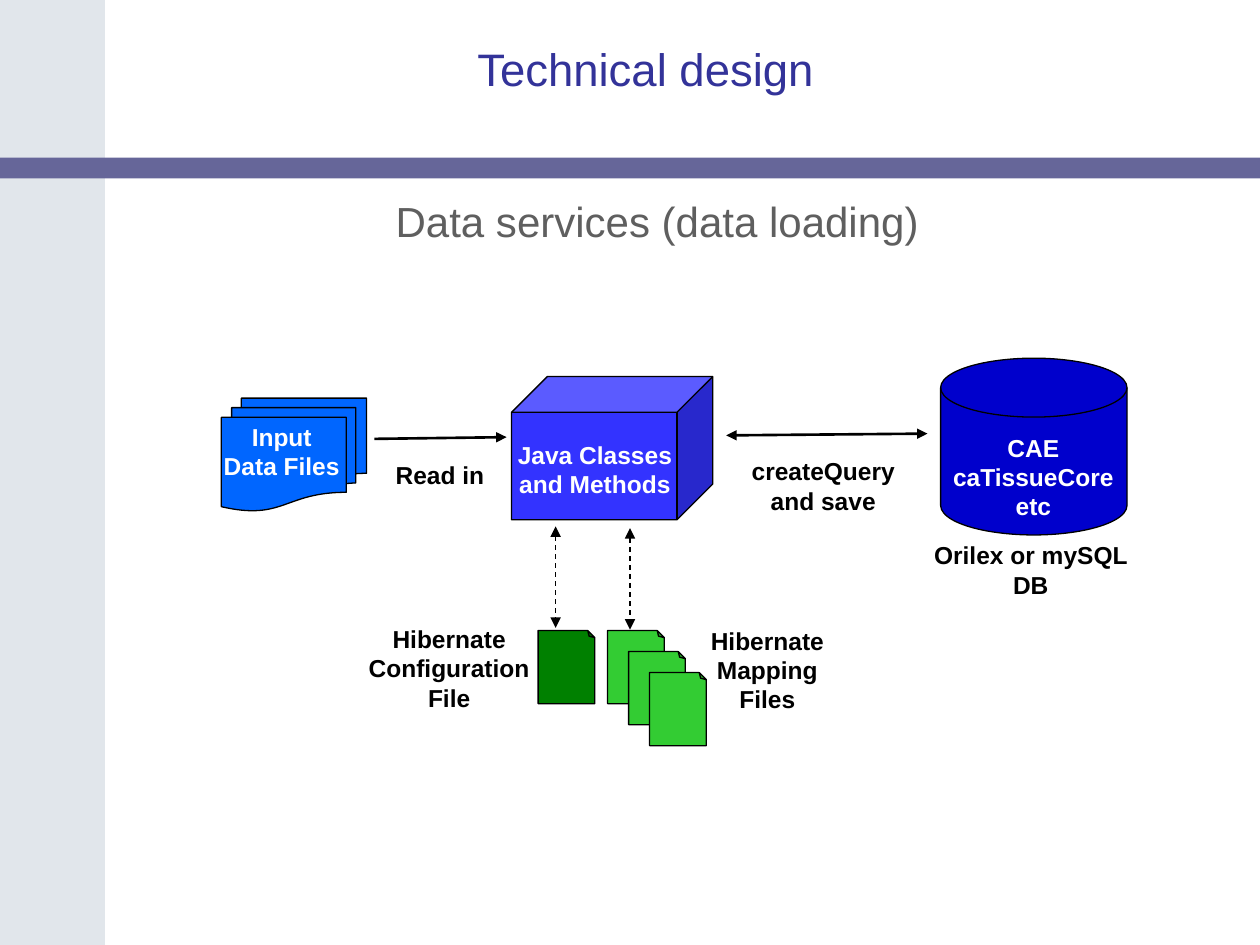
import pptx
import pptx.util
import pptx.dml.color
import pptx.enum.dml
import pptx.enum.shapes
import pptx.enum.text
import pptx.oxml.ns
from lxml import etree

Pt = pptx.util.Pt
SHAPE = pptx.enum.shapes.MSO_SHAPE
ALIGN = pptx.enum.text.PP_ALIGN
ANCHOR = pptx.enum.text.MSO_ANCHOR
qn = pptx.oxml.ns.qn

COLORS = {
    "sidebar": "E1E6EB", "band": "666699", "title": "333399", "subtitle": "5F5F5F",
    "database": "0000CC", "input": "0066FF", "engine": "3333FF",
    "config": "008000", "mapping": "33CC33", "ink": "000000", "light": "FFFFFF",
}


def rgb(name):
    return pptx.dml.color.RGBColor.from_string(COLORS[name])


def add_run(paragraph, text, size, color, bold=False):
    run = paragraph.add_run()
    run.text = text
    run.font.name = "Arial"
    run.font.size = Pt(size)
    run.font.bold = bold
    run.font.color.rgb = rgb(color)


def add_block(slide, kind, box, fill, outlined=True):
    block = slide.shapes.add_shape(kind, *map(Pt, box))
    block.shadow.inherit = False
    block.fill.solid()
    block.fill.fore_color.rgb = rgb(fill)
    if outlined:
        block.line.color.rgb = rgb("ink")
        block.line.width = Pt(0.75)
    else:
        block.line.fill.background()
    return block


def add_label(slide, text, box, color="ink", align=ALIGN.CENTER):
    label = slide.shapes.add_textbox(*map(Pt, box))
    label.text_frame.word_wrap = True
    paragraph = label.text_frame.paragraphs[0]
    paragraph.alignment = align
    add_run(paragraph, text, 14, color, bold=True)


def add_arrow(slide, start, end, width, both_ways=True, dashed=False):
    arrow = slide.shapes.add_connector(
        pptx.enum.shapes.MSO_CONNECTOR.STRAIGHT, *map(Pt, start + end))
    arrow.line.color.rgb = rgb("ink")
    arrow.line.width = Pt(width)
    if dashed:
        arrow.line.dash_style = pptx.enum.dml.MSO_LINE.DASH
    properties = arrow._element.spPr
    outline = properties.find(qn("a:ln"))
    for tip in ("a:headEnd", "a:tailEnd") if both_ways else ("a:tailEnd",):
        etree.SubElement(outline, qn(tip)).set("type", "triangle")
    etree.SubElement(properties, qn("a:effectLst"))


def place_text(placeholder, box, text, size, color):
    placeholder.left, placeholder.top, placeholder.width, placeholder.height = map(Pt, box)
    frame = placeholder.text_frame
    frame.word_wrap = True
    frame.auto_size = pptx.enum.text.MSO_AUTO_SIZE.NONE
    frame.vertical_anchor = ANCHOR.TOP
    paragraph = frame.paragraphs[0]
    properties = paragraph._p.get_or_add_pPr()
    properties.set("marL", "0")
    properties.set("indent", "0")
    etree.SubElement(properties, qn("a:buNone"))
    paragraph.alignment = ALIGN.CENTER
    paragraph.space_before = Pt(0)
    add_run(paragraph, text, size, color)


def draw_frame(slide, box):
    left, top, width, height = box
    add_block(slide, SHAPE.RECTANGLE, (left, top, 60, height), "sidebar", outlined=False)
    band = add_block(slide, SHAPE.ROUNDED_RECTANGLE, (left, top + 90, width, 12),
                     "band", outlined=False)
    band.adjustments[0] = 0.01


def draw_headings(slide, box):
    left, top, width, height = box
    title = slide.shapes.title
    place_text(title, (left, top, width, 63), "Technical design", 26, "title")
    title.text_frame.margin_top = Pt(2)
    place_text(slide.placeholders[1], (left + 13, top + 86.4, width - 13, height - 86.4),
               "Data services (data loading)", 24, "subtitle")


def draw_input(slide, box):
    left, top, width, height = box
    add_block(slide, SHAPE.FLOWCHART_MULTIDOCUMENT, box, "input")
    add_label(slide, "Input Data Files", (left - 6.5, top + 10, 82, 41), "light")


def draw_engine(slide, box):
    left, top, width, height = box
    cube = add_block(slide, SHAPE.CUBE, box, "engine")
    cube.adjustments[0] = 0.25
    add_label(slide, "Java Classes and Methods", (left - 9.3, top + 32.5, 114, 41), "light")


def draw_database(slide, box):
    left, top, width, height = box
    add_block(slide, SHAPE.FLOWCHART_MAGNETIC_DISK, box, "database")
    add_label(slide, "CAE caTissueCore etc", (left - 7, top + 39, 120, 57.6), "light")
    add_label(slide, "Orilex or mySQL DB", (left - 16.5, top + height - 0.5, 136, 41))


def draw_hibernate_files(slide, box):
    left, top, width, height = box
    page_width, page_height, step = 41.8, 32.4, 12
    config = [(left + 100.5, top + 12, "config")]
    mappings = [(left + 140.2 + step * i, top + 12 + step * i, "mapping") for i in range(3)]
    for page_left, page_top, fill in config + mappings:
        page = add_block(slide, SHAPE.FOLDED_CORNER,
                         (page_left, page_top, page_width, page_height), fill)
        page.rotation = 270
        # The library offers no adjustment for the size of the fold
        adjustments = page._element.spPr.find(qn("a:prstGeom")).find(qn("a:avLst"))
        etree.SubElement(adjustments, qn("a:gd"), name="adj", fmla="val 12500")
    add_label(slide, "Hibernate Configuration File", (left, top, 108.7, 57.6))
    add_label(slide, "Hibernate Mapping Files", (left + width - 102.2, top + 1, 102.2, 57.6))


def draw_flows(slide, box):
    left, top, width, height = box
    # Between the three systems
    add_arrow(slide, (left, top + 3), (left + 75.5, top + 2), 1.5, both_ways=False)
    add_label(slide, "Read in", (left + 5, top + 11.5, 66, 24.5), align=ALIGN.LEFT)
    add_arrow(slide, (left + 201, top + 1), (left + width, top), 1.5)
    add_label(slide, "createQuery and save", (left + 200, top + 9.3, 113, 41))
    # Between the classes and their files
    for offset, drop in ((103.5, 53), (146, 54)):
        add_arrow(slide, (left + offset, top + drop), (left + offset, top + drop + 58),
                  0.75, dashed=True)


def main():
    deck = pptx.Presentation()
    deck.slide_width, deck.slide_height = Pt(720), Pt(540)
    slide = deck.slides.add_slide(deck.slide_layouts[1])

    draw_frame(slide, (0, 0, 720, 540))
    draw_headings(slide, (54, 21.6, 630, 470))
    draw_database(slide, (537.5, 204.7, 106.5, 101))
    draw_input(slide, (126.5, 227.5, 83, 64.5))
    draw_engine(slide, (292.3, 215.2, 115, 81.8))
    draw_hibernate_files(slide, (202.3, 353, 287.3, 73))
    draw_flows(slide, (214, 247.8, 316, 112))
    deck.save("out.pptx")


if __name__ == "__main__":
    main()
